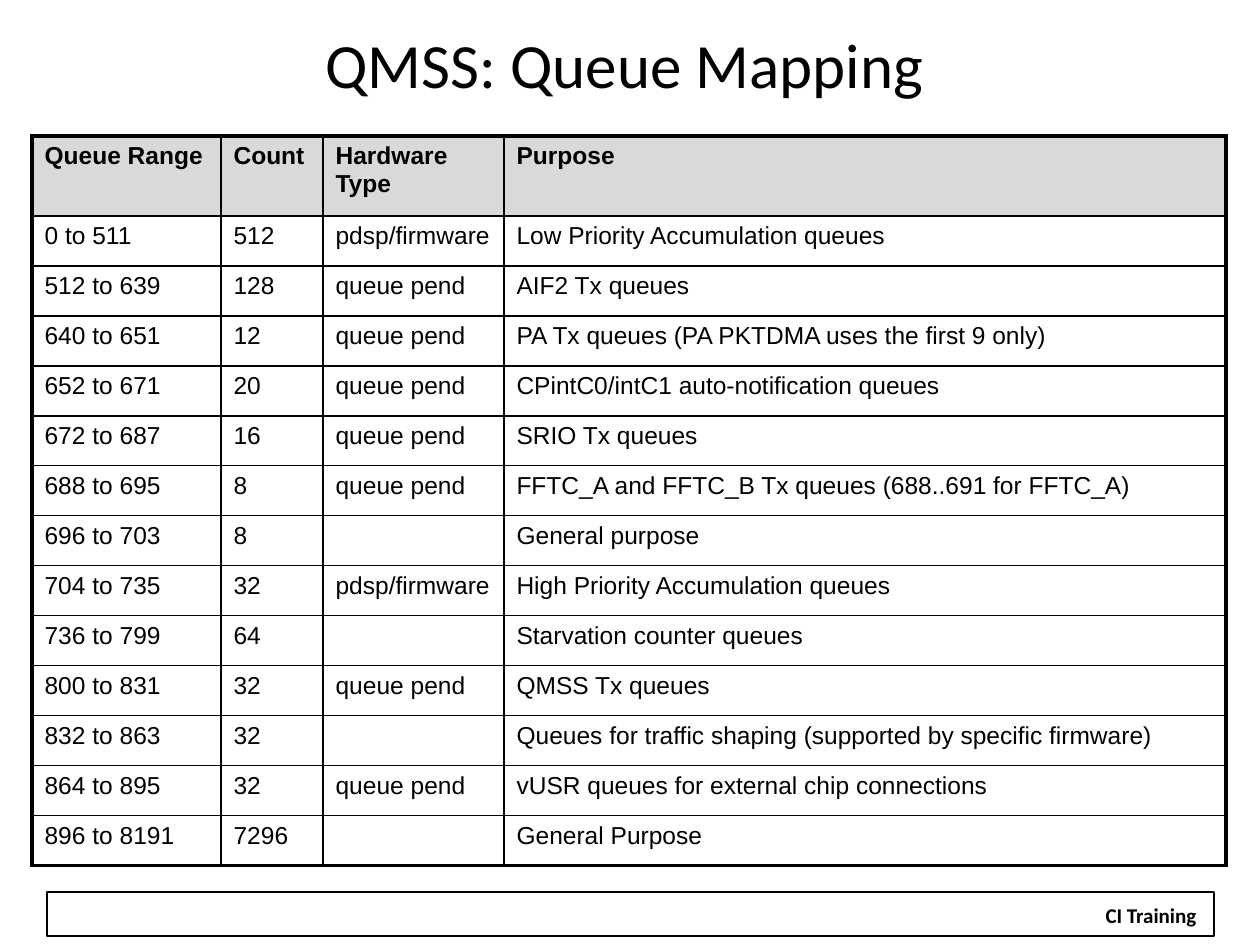
from lxml.etree import SubElement
from pptx import Presentation
from pptx.dml.color import RGBColor
from pptx.enum.shapes import MSO_SHAPE
from pptx.enum.text import MSO_ANCHOR, PP_ALIGN
from pptx.oxml.ns import qn
from pptx.util import Emu, Pt

SCALE = 914400 / 126
COLORS = {"ink": "000000", "paper": "FFFFFF", "head": "D9D9D9"}
THIN, THICK = 1, 2.25
COLS = [189, 102, 181, 722]
HEAD_H, ROW_H = 80, 50
PEND, PDSP = "queue pend", "pdsp/firmware"
ROWS = [
    ("Queue Range", "Count", "Hardware Type", "Purpose"),
    ("0 to 511", "512", PDSP, "Low Priority Accumulation queues"),
    ("512 to 639", "128", PEND, "AIF2 Tx queues"),
    ("640 to 651", "12", PEND, "PA Tx queues (PA PKTDMA uses the first 9 only)"),
    ("652 to 671", "20", PEND, "CPintC0/intC1 auto-notification queues"),
    ("672 to 687", "16", PEND, "SRIO Tx queues"),
    ("688 to 695", "8", PEND, "FFTC_A and FFTC_B Tx queues (688..691 for FFTC_A)"),
    ("696 to 703", "8", "", "General purpose"),
    ("704 to 735", "32", PDSP, "High Priority Accumulation queues"),
    ("736 to 799", "64", "", "Starvation counter queues"),
    ("800 to 831", "32", PEND, "QMSS Tx queues"),
    ("832 to 863", "32", "", "Queues for traffic shaping (supported by specific firmware)"),
    ("864 to 895", "32", PEND, "vUSR queues for external chip connections"),
    ("896 to 8191", "7296", "", "General Purpose"),
]


def px(n):
    return Emu(round(n * SCALE))


def color(name):
    return RGBColor.from_string(COLORS[name])


def style(para, face, size, bold=False):
    for run in para.runs:
        run.font.name = face
        run.font.size = Pt(size)
        run.font.bold = bold
        run.font.color.rgb = color("ink")


def add_label(slide, box, text, size, bold=False, wrap=True):
    label = slide.shapes.add_textbox(*map(px, box))
    frame = label.text_frame
    frame.word_wrap = wrap
    frame.vertical_anchor = MSO_ANCHOR.MIDDLE
    frame.text = text
    para = frame.paragraphs[0]
    para.alignment = PP_ALIGN.CENTER
    style(para, "Calibri", size, bold)
    return label


def add_frame(slide, box):
    frame = slide.shapes.add_shape(MSO_SHAPE.RECTANGLE, *map(px, box))
    frame.shadow.inherit = False
    frame.fill.background()
    frame.line.color.rgb = color("ink")
    frame.line.width = Pt(0.75)


def set_edges(cell, row, col, last_row, last_col):
    props = cell._tc.get_or_add_tcPr()
    outer = {"lnL": col == 0, "lnR": col == last_col,
             "lnT": row == 0, "lnB": row == last_row}
    for place, (tag, thick) in enumerate(outer.items()):
        line = SubElement(props, qn("a:" + tag), w=str(Pt(THICK if thick else THIN)))
        fill = SubElement(line, qn("a:solidFill"))
        SubElement(fill, qn("a:srgbClr"), val=COLORS["ink"])
        props.insert(place, line)


def fill_cell(cell, text, head):
    cell.text = text
    para = cell.text_frame.paragraphs[0]
    style(para, "Arial", 14, head)
    if not text:
        SubElement(para._p, qn("a:endParaRPr"), sz="1400")
    if head:
        cell.fill.solid()
        cell.fill.fore_color.rgb = color("head")
    else:
        cell.fill.background()


def add_grid(slide, left, top):
    heights = [HEAD_H] + [ROW_H] * (len(ROWS) - 1)
    box = (left, top, sum(COLS), sum(heights))
    table = slide.shapes.add_table(len(ROWS), len(COLS), *map(px, box)).table
    table.horz_banding = False
    for col, width in zip(table.columns, COLS):
        col.width = px(width)
    for r, (texts, height) in enumerate(zip(ROWS, heights)):
        table.rows[r].height = px(height)
        for c, text in enumerate(texts):
            cell = table.cell(r, c)
            fill_cell(cell, text, r == 0)
            set_edges(cell, r, c, len(ROWS) - 1, len(COLS) - 1)


def main():
    deck = Presentation()
    deck.slide_width, deck.slide_height = px(1260), px(945)
    slide = deck.slides.add_slide(deck.slide_layouts[6])
    add_frame(slide, (47, 892, 1167, 44))
    label = add_label(slide, (1092, 896, 118, 38), "CI Training", 12, True, False)
    label.fill.solid()
    label.fill.fore_color.rgb = color("paper")
    add_label(slide, (42, 21, 1165, 85), "QMSS: Queue Mapping", 36)
    add_grid(slide, 32, 136)
    deck.save("out.pptx")


if __name__ == "__main__":
    main()
